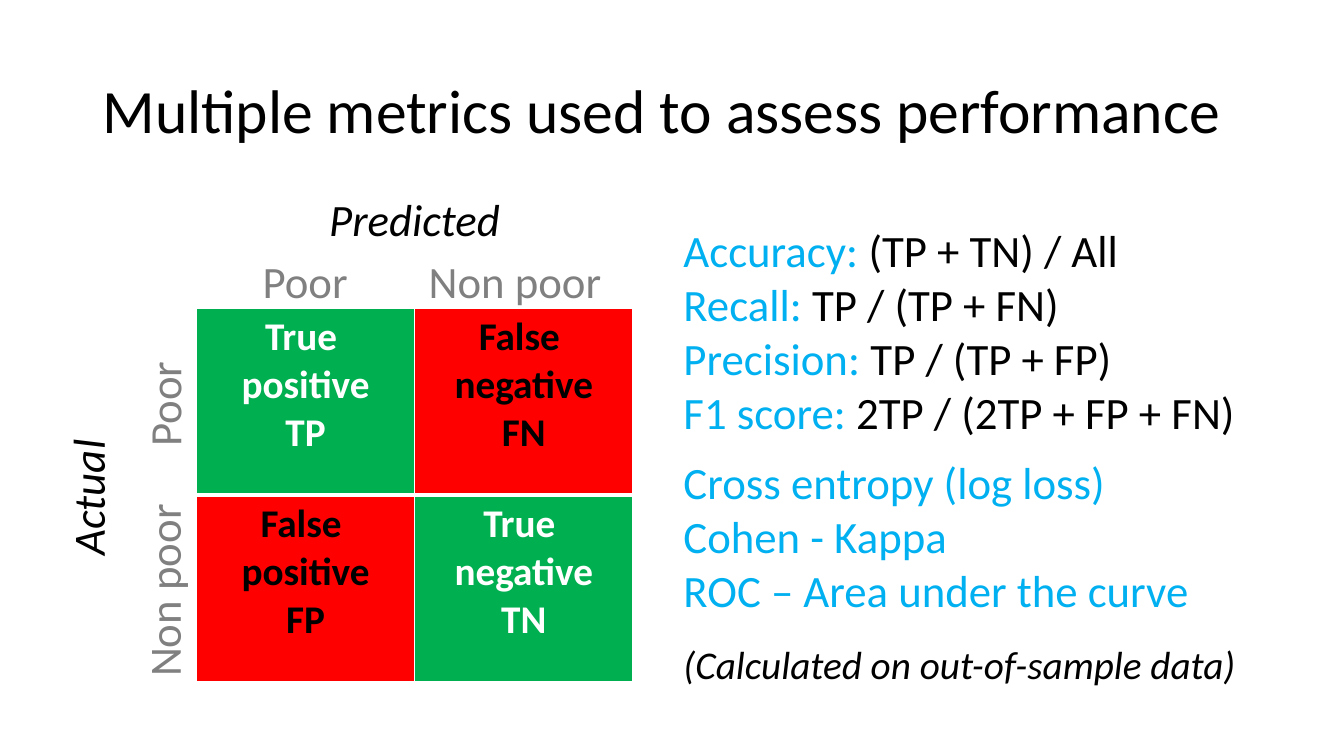
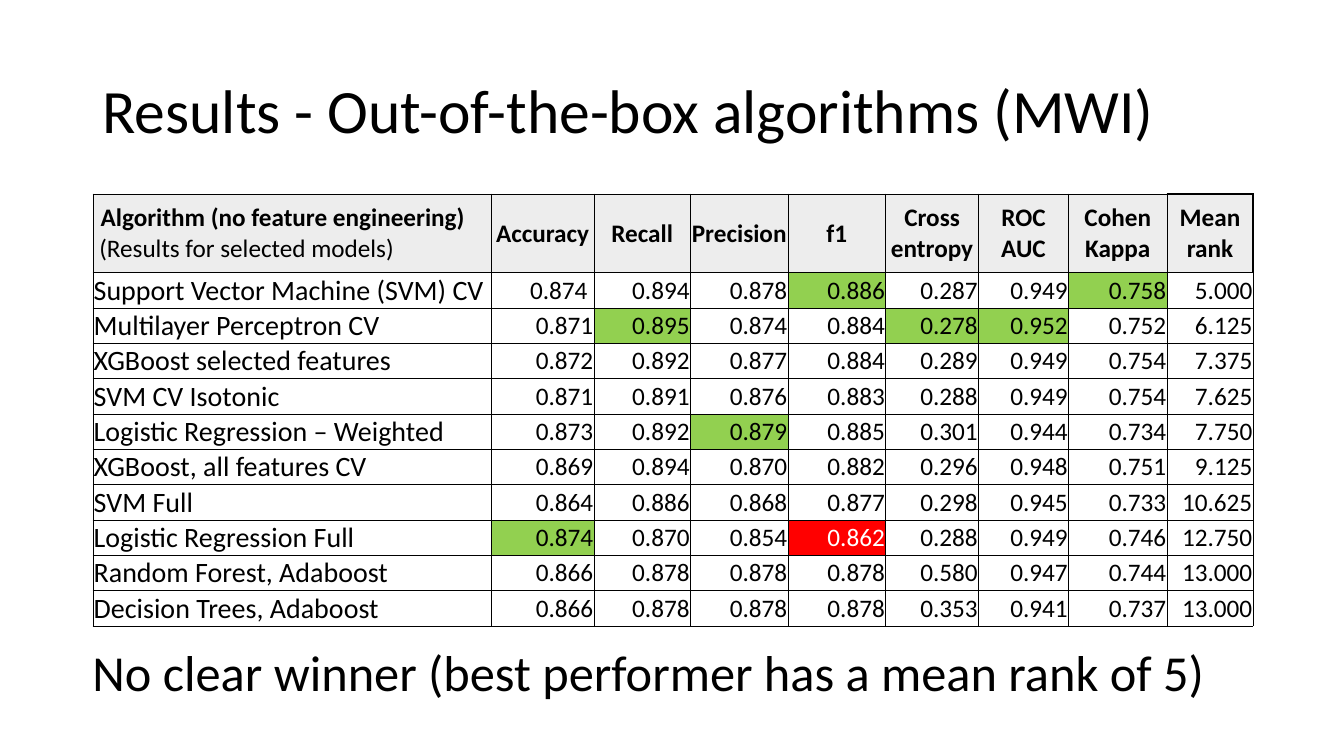
from dataclasses import dataclass
from typing import NamedTuple, Optional, Sequence

from lxml.etree import SubElement
from pptx import Presentation
from pptx.dml.color import RGBColor as Rgb
from pptx.enum.text import MSO_ANCHOR as Anchor, MSO_AUTO_SIZE as Fit, PP_ALIGN as Align
from pptx.oxml.ns import qn
from pptx.slide import Slide
from pptx.table import Table, _Cell as Cell
from pptx.text.text import Font, TextFrame
from pptx.util import Cm, Pt


@dataclass(frozen=True)
class Theme:
    font: str = "Calibri"
    black: str = "000000"
    white: str = "FFFFFF"
    gray: str = "808080"
    blue: str = "00B0F0"
    green: str = "00B050"
    red: str = "FF0000"
    lime: str = "92D050"
    pale: str = "EDEDED"
    title: int = 44
    note: int = 36
    text: int = 32
    cell: int = 28
    row: int = 20
    small: int = 18


T = Theme()


class Box(NamedTuple):
    left: float
    top: float
    width: float
    height: float


class Bit(NamedTuple):
    text: str
    color: Optional[str] = None
    bold: Optional[bool] = None
    font: Optional[str] = None


@dataclass(frozen=True)
class Line:
    bits: Sequence[Bit]
    size: int = T.text
    color: str = T.black
    bold: bool = False
    italic: bool = False
    align: Align = Align.LEFT
    gap: int = 0
    pitch: float = 1.0


class Label(NamedTuple):
    text: str
    box: Box
    color: str = T.gray
    italic: bool = False
    turn: int = 0


class Square(NamedTuple):
    words: Sequence[str]
    fill: str
    color: str


class Edge(NamedTuple):
    left: float
    right: float
    top: float
    bottom: float


def style(font: Font, color: Optional[str], bold: Optional[bool], name: Optional[str]) -> None:
    if color:
        font.color.rgb = Rgb.from_string(color)
    if bold is not None:
        font.bold = bold
    if name:
        font.name = name


def write(frame: TextFrame, lines: Sequence[Line]) -> None:
    for i, line in enumerate(lines):
        para = frame.add_paragraph() if i else frame.paragraphs[0]
        para.alignment = line.align
        para.line_spacing = line.pitch
        para.space_before = Pt(line.gap)
        style(para.font, line.color, line.bold, T.font)
        para.font.size = Pt(line.size)
        para.font.italic = line.italic
        for bit in line.bits:
            run = para.add_run()
            run.text = bit.text
            style(run.font, bit.color, bit.bold, bit.font)


def place(shape, box: Box) -> None:
    shape.left, shape.top, shape.width, shape.height = map(Cm, box)


def head(slide: Slide, text: str) -> None:
    title = slide.shapes.title
    place(title, Box(2.33, 1.01, 29.21, 3.68))
    title.text_frame.vertical_anchor = Anchor.MIDDLE
    title.text_frame.auto_size = Fit.NONE
    write(title.text_frame, [Line([Bit(text)], T.title, pitch=0.9)])


def fill_list(slide: Slide, box: Box, lines: Sequence[Line]) -> None:
    body = slide.placeholders[1]
    place(body, box)
    frame = body.text_frame
    frame.auto_size = Fit.NONE
    write(frame, lines)
    for para in frame.paragraphs:
        props = para._p.get_or_add_pPr()
        props.set("marL", "0")
        props.set("indent", "0")
        props.find(qn("a:defRPr")).addprevious(SubElement(props, qn("a:buNone")))


def add_text(slide: Slide, box: Box, line: Line, turn: int = 0) -> None:
    shape = slide.shapes.add_textbox(*map(Cm, box))
    shape.rotation = turn
    shape.text_frame.word_wrap = True
    write(shape.text_frame, [line])


def add_grid(slide: Slide, box: Box, cols: Sequence[float], rows: Sequence[float]) -> Table:
    table = slide.shapes.add_table(len(rows), len(cols), *map(Cm, box)).table
    table.first_row = table.horz_banding = False
    for col, width in zip(table.columns, cols):
        col.width = Cm(width)
    for row, height in zip(table.rows, rows):
        row.height = Cm(height)
    return table


def paint(cell: Cell, fill: Optional[str], color: str, edge: Edge) -> None:
    props = cell._tc.get_or_add_tcPr()
    for tag, width in zip(("lnL", "lnR", "lnT", "lnB"), edge):
        line = SubElement(props, qn(f"a:{tag}"), w=str(Pt(width)))
        SubElement(SubElement(line, qn("a:solidFill")), qn("a:srgbClr"), val=color)
    if fill:
        cell.fill.solid()
        cell.fill.fore_color.rgb = Rgb.from_string(fill)
    else:
        cell.fill.background()


LABELS = (
    Label("Predicted", Box(4.8, 4.7, 11.3, 1.62), T.black, True),
    Label("Actual", Box(0.41, 11.73, 3.58, 1.62), T.black, True, 270),
    Label("Poor", Box(5.05, 6.27, 5.28, 1.62)),
    Label("Non poor", Box(10.34, 6.27, 5.28, 1.62)),
    Label("Poor", Box(2.34, 9.37, 3.58, 1.62), turn=270),
    Label("Non poor", Box(1.55, 14.07, 5.13, 1.62), turn=270),
)
SQUARES = (
    (Square(("True ", "positive", "TP"), T.green, T.white),
     Square(("False ", "negative", "FN"), T.red, T.black)),
    (Square(("False ", "positive", "FP"), T.red, T.black),
     Square(("True ", "negative", "TN"), T.green, T.white)),
)
SCORES = (
    ("Accuracy:", " (TP + TN) / All"),
    ("Recall:", " TP / (TP + FN)"),
    ("Precision:", " TP / (TP + FP)"),
    ("F1 score: ", "2TP / (2TP + FP + FN)"),
)
OTHERS = ("Cross entropy (log loss)", "Cohen - Kappa", "ROC – Area under the curve")

HEADS = ("Accuracy", "Recall", "Precision", "f1", "Cross entropy", "ROC AUC",
         "Cohen Kappa", "Mean rank")
WIDTHS = (10.04, 2.59, 2.43, 2.46, 2.46, 2.34, 2.27, 2.48, 2.17)
MODELS = (
    ("Support Vector Machine (SVM) CV", "0.874 ", "0.894", "0.878", "0.886", "0.287", "0.949", "0.758", "5.000"),
    ("Multilayer Perceptron CV", "0.871", "0.895", "0.874", "0.884", "0.278", "0.952", "0.752", "6.125"),
    ("XGBoost selected features", "0.872", "0.892", "0.877", "0.884", "0.289", "0.949", "0.754", "7.375"),
    ("SVM CV Isotonic", "0.871", "0.891", "0.876", "0.883", "0.288", "0.949", "0.754", "7.625"),
    ("Logistic Regression – Weighted", "0.873", "0.892", "0.879", "0.885", "0.301", "0.944", "0.734", "7.750"),
    ("XGBoost, all features CV", "0.869", "0.894", "0.870", "0.882", "0.296", "0.948", "0.751", "9.125"),
    ("SVM Full", "0.864", "0.886", "0.868", "0.877", "0.298", "0.945", "0.733", "10.625"),
    ("Logistic Regression Full", "0.874", "0.870", "0.854", "0.862", "0.288", "0.949", "0.746", "12.750"),
    ("Random Forest, Adaboost", "0.866", "0.878", "0.878", "0.878", "0.580", "0.947", "0.744", "13.000"),
    ("Decision Trees, Adaboost", "0.866", "0.878", "0.878", "0.878", "0.353", "0.941", "0.737", "13.000"),
)
BEST = {(1, 4), (1, 7), (2, 2), (2, 5), (2, 6), (5, 3), (8, 1)}
WORST = {(8, 4)}


def metrics(slide: Slide) -> None:
    head(slide, "Multiple metrics used to assess performance")
    table = add_grid(slide, Box(4.95, 7.77, 11, 9.4), [5.5] * 2, [4.7] * 2)
    for r, row in enumerate(SQUARES):
        for c, square in enumerate(row):
            cell = table.cell(r, c)
            paint(cell, square.fill, T.white, Edge(1, 1, 1 if r == 0 else 3, 3 if r == 0 else 1))
            write(cell.text_frame, [
                Line([Bit(word)], T.cell, square.color, bold=True, align=Align.CENTER)
                for word in square.words])
    for label in LABELS:
        line = Line([Bit(label.text)], color=label.color, italic=label.italic, align=Align.CENTER)
        add_text(slide, label.box, line, label.turn)
    lines = [Line([Bit(name, T.blue), Bit(rule)]) for name, rule in SCORES]
    lines += [Line([Bit(name)], color=T.blue, gap=0 if i else 12) for i, name in enumerate(OTHERS)]
    lines.append(Line([Bit("(Calculated on out-of-sample data)")], T.cell, italic=True, gap=17))
    fill_list(slide, Box(16.97, 5.49, 16.26, 12.07), lines)


def model_cell(r: int, c: int, text: str) -> Line:
    if r == 0:
        return Line([Bit(text)], T.small, bold=True, align=Align.CENTER)
    if c == 0:
        return Line([Bit(text)], T.row)
    color = T.white if (r, c) in WORST else T.black
    return Line([Bit(text)], T.small, color, align=Align.RIGHT)


def shade(r: int, c: int) -> Optional[str]:
    if r == 0:
        return T.pale
    if (r, c) in BEST:
        return T.lime
    return T.red if (r, c) in WORST else None


def results(slide: Slide) -> None:
    head(slide, "Results - Out-of-the-box algorithms (MWI)")
    heights = [1.98] + [0.89] * len(MODELS)
    box = Box(2.34, 4.89, sum(WIDTHS), sum(heights))
    table = add_grid(slide, box, WIDTHS, heights)
    corner = [
        Line([Bit(" ", font="Arial"), Bit("Algorithm (no feature engineering)", bold=True)], T.small),
        Line([Bit(" (Results for selected models)")], T.small),
    ]
    for r, row in enumerate((("", *HEADS), *MODELS)):
        for c, text in enumerate(row):
            cell = table.cell(r, c)
            cell.vertical_anchor = Anchor.MIDDLE
            cell.margin_left = cell.margin_right = cell.margin_top = Cm(0.02)
            cell.margin_bottom = 0
            outer = 1 if (r, c) == (0, len(HEADS)) else 0.5
            paint(cell, shade(r, c), T.black, Edge(0.5, outer, outer, 0.5))
            write(cell.text_frame, [model_cell(r, c, text)] if r or c else corner)
    note = "No clear winner (best performer has a mean rank of 5)"
    add_text(slide, Box(2.08, 16.03, 29.5, 1.8), Line([Bit(note)], T.note))


def main() -> None:
    deck = Presentation()
    deck.slide_width, deck.slide_height = Cm(33.87), Cm(19.05)
    for layout, build in ((1, metrics), (5, results)):
        build(deck.slides.add_slide(deck.slide_layouts[layout]))
    deck.save("out.pptx")


if __name__ == "__main__":
    main()
